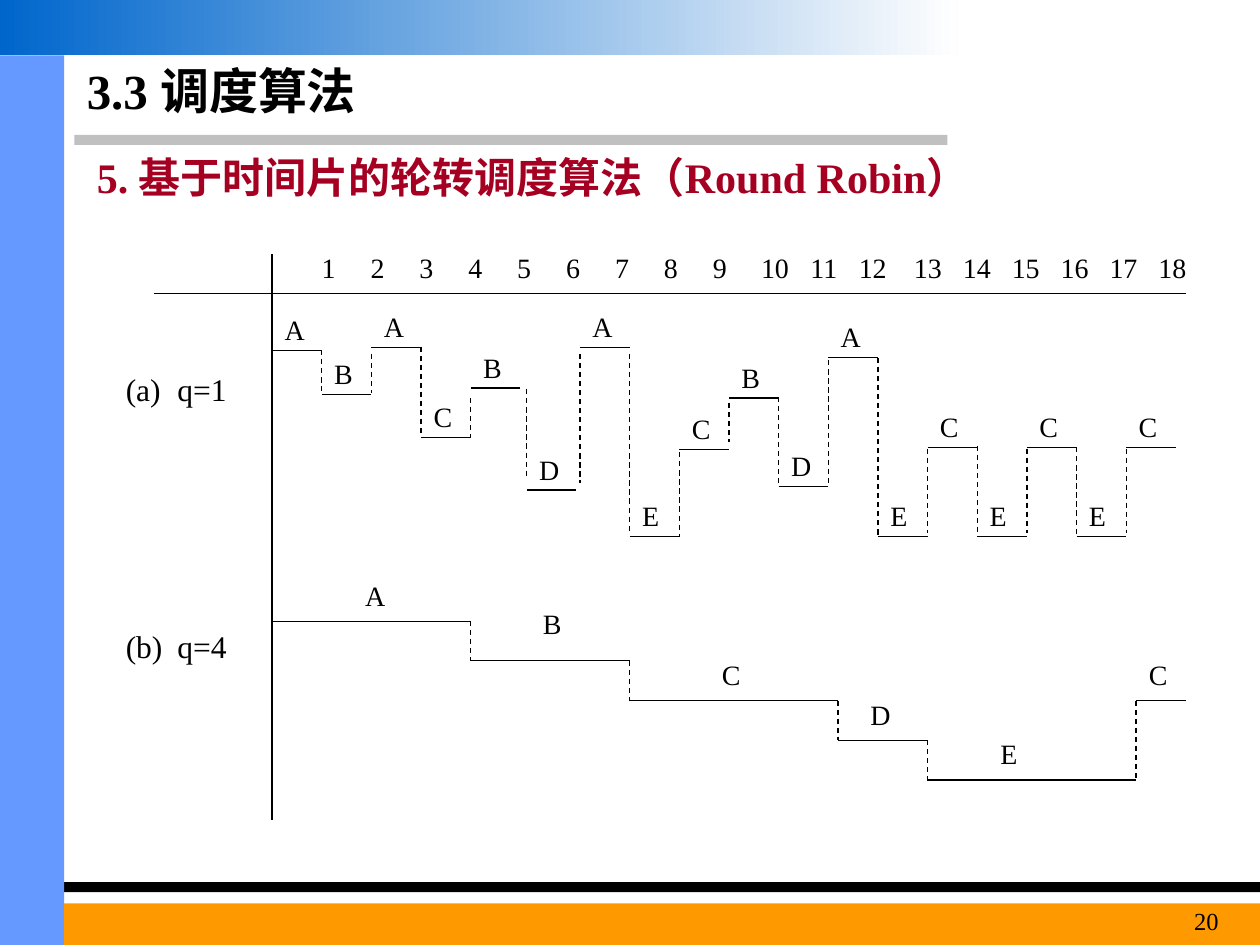
from lxml import etree
from pptx import Presentation, util as u
from pptx.dml.color import RGBColor
from pptx.enum import dml, shapes, text
from pptx.oxml.ns import qn

BLACK = RGBColor(0, 0, 0)
WHITE = RGBColor(0xFE, 0xFE, 0xFE)
GRAY = RGBColor(0xC0, 0xC0, 0xC0)
SKY = RGBColor(0x66, 0x99, 0xFF)
BLUE = RGBColor(0x00, 0x66, 0xCC)
AMBER = RGBColor(0xFF, 0x99, 0x00)
RED = RGBColor(0xA5, 0x00, 0x21)
LEFT, STEP = 2.16, 0.394
ROW, FALL = 4.93, 0.315

deck = Presentation()
deck.slide_width, deck.slide_height = u.Inches(10), u.Inches(7.5)
slide = deck.slides.add_slide(deck.slide_layouts[6])


def rule(x1, y1, x2, y2, dash=False):
    line = slide.shapes.add_connector(
        shapes.MSO_CONNECTOR.STRAIGHT, *map(u.Inches, (x1, y1, x2, y2)))
    line.line.color.rgb = BLACK
    line.line.width = u.Pt(0.74)
    if dash:
        line.line.dash_style = dml.MSO_LINE.DASH
    etree.SubElement(line._element.spPr, qn("a:effectLst"))


def write(words, x, y, w, h, size=16, color=BLACK, bold=False, stops=(), kind="l"):
    box = slide.shapes.add_textbox(*map(u.Inches, (x, y, w, h)))
    box.text_frame.word_wrap = True
    para = box.text_frame.paragraphs[0]
    para.text = words
    para.font.name = "Times New Roman"
    para.font.size = u.Pt(size)
    para.font.bold = bold
    para.font.color.rgb = color
    if stops:
        tabs = etree.Element(qn("a:tabLst"))
        for stop in stops:
            etree.SubElement(tabs, qn("a:tab"), pos=str(u.Inches(stop)), algn=kind)
        para._p.get_or_add_pPr().insert(0, tabs)
    return box


bars = [
    (0.59, 1.07, 6.93, 0.08, GRAY),
    (0, 7, 10, 0.08, BLACK),
    (0, 0.44, 0.51, 7.06, SKY),
    (0.51, 7.17, 9.49, 0.33, AMBER),
    (0, 0, 7.6, 0.44, None),
]
for x, y, w, h, color in bars:
    bar = slide.shapes.add_shape(
        shapes.MSO_SHAPE.RECTANGLE, *map(u.Inches, (x, y, w, h)))
    bar.shadow.inherit = False
    bar.line.fill.background()
    if color is not None:
        bar.fill.solid()
        bar.fill.fore_color.rgb = color
    else:
        bar.fill.gradient()
        bar.fill.gradient_angle = 0
        for stop, tint in zip(bar.fill.gradient_stops, (BLUE, WHITE)):
            stop.color.rgb = tint

title = write("3.3 调度算法", 0.59, 0.44, 6.85, 0.55, 28, bold=True)
title.text_frame.vertical_anchor = text.MSO_ANCHOR.MIDDLE
write("5. 基于时间片的轮转调度算法（Round Robin）", 0.67, 1.15, 7.87, 0.5, 24, RED, True)

rule(1.22, 2.33, 9.41, 2.33)
rule(LEFT, 2.02, LEFT, 6.51)
write("(a)\tq=1", 0.9, 2.89, 1.1, 0.4, 18, stops=[0.41])
write("(b)\tq=4", 0.9, 4.93, 1.1, 0.4, 18, stops=[0.41])

ticks = range(1, 19)
write("".join(f"\t{n}" for n in ticks), 2.4, 1.94, 7.32, 0.37, kind="ctr",
      stops=[0.11 + 0.388 * (n - 1) + 0.05 * ((n > 9) + (n > 12)) for n in ticks])

turns = [
    ("A", 2.78, None), ("B", 3.13, (2.78, 3.1)), ("A", 2.76, (2.81, 3.12)),
    ("C", 3.47, (2.75, 3.46)), ("B", 3.08, (3.16, 3.48)), ("D", 3.89, (3.09, 3.8)),
    ("A", 2.76, (2.81, 3.83)), ("E", 4.26, (2.81, 4.22)), ("C", 3.57, (3.59, 4.26)),
    ("B", 3.16, (3.2, 3.51)), ("D", 3.86, (3.15, 3.86)), ("A", 2.84, (2.86, 3.83)),
    ("E", 4.26, (2.84, 4.26)), ("C", 3.55, (3.56, 4.23)), ("E", 4.26, (3.54, 4.25)),
    ("C", 3.55, (3.56, 4.23)), ("E", 4.26, (3.55, 4.26)), ("C", 3.55, (3.56, 4.23)),
]
for col, (name, y, span) in enumerate(turns):
    x = LEFT + STEP * col + (0.05 if col == 5 else 0.08 if col > 5 else 0)
    rule(x, y, x + STEP, y)
    write(name, x, y - 0.35, 0.32, 0.37)
    if span:
        rule(x, span[0], x, span[1], True)

runs = [
    ("A", 0, 4, 0, 2.8, 0.39), ("B", 4, 7.2, 1, 4.21, 0.48),
    ("C", 7.2, 11.4, 2, 5.63, 0.39), ("D", 11.4, 13.2, 3, 6.81, 0.39),
    ("E", 13.2, 17.4, 4, 7.84, 0.39), ("C", 17.4, 18.4, 2, 9.02, 0.39),
]
last = None
for name, start, end, level, x, lift in runs:
    a, b, y = LEFT + STEP * start, LEFT + STEP * end, ROW + FALL * level
    rule(a, y, b, y)
    write(name, x, y - lift, 0.32, 0.37)
    if last:
        rule(a, min(last, y), a, max(last, y), True)
    last = y

page = write("20", 8.86, 7.14, 0.91, 0.36, 14)
page.text_frame.paragraphs[0].alignment = text.PP_ALIGN.RIGHT

deck.save("out.pptx")
